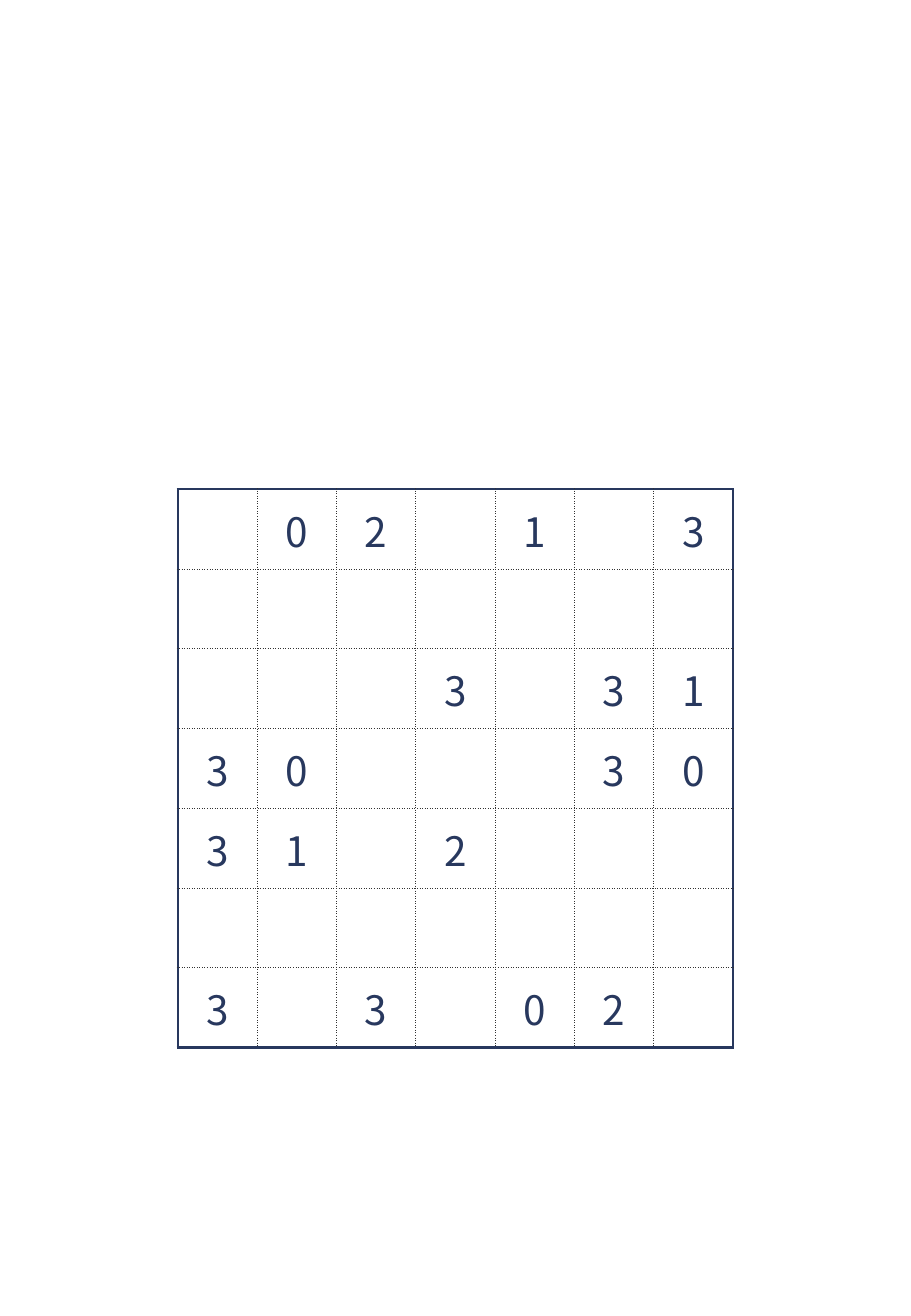
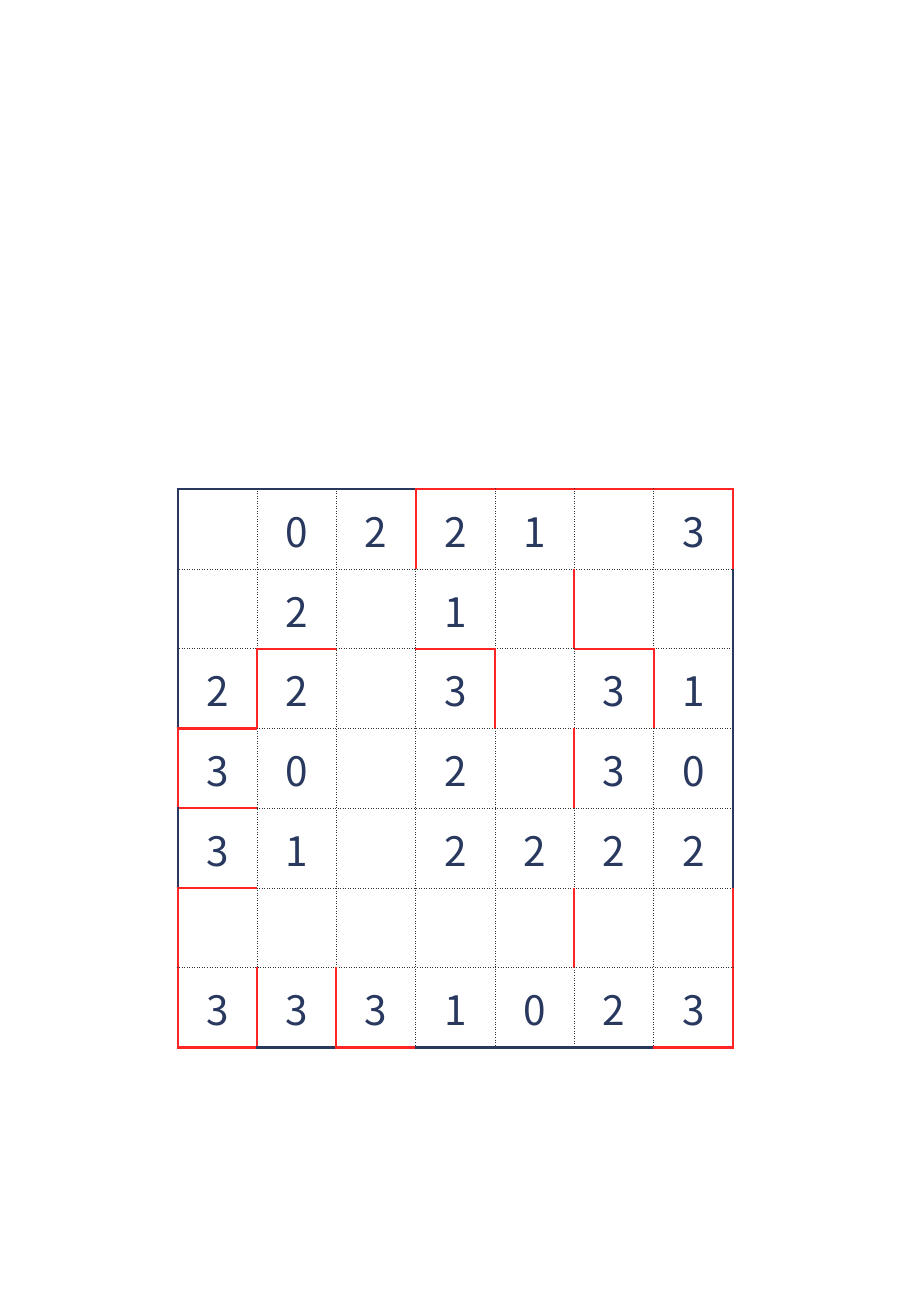
import pptx
import pptx.dml.color
import pptx.enum.text
import pptx.oxml.ns
import pptx.util
from lxml import etree
from pptx.util import Inches

COLORS = {"frame": "28385E", "digit": "28385E", "dots": "333333", "loop": "FF2525"}
FONT = "Noto Sans CJK JP"
NO_GRID_STYLE = "{2D5ABB26-0587-4C30-8999-92F81FD0307C}"
BOARD = (0.81, 3.37, 5.88, 5.91)
SIZE = 7  # squares per side; one ring of borderless cells surrounds them
NO_EDGES = {"across": ["." * SIZE] * (SIZE + 1), "down": ["." * (SIZE + 1)] * SIZE}

PUZZLE = [
    ".02.1.3",
    ".......",
    "...3.31",
    "30...30",
    "31.2...",
    ".......",
    "3.3.02.",
]
ANSWER = [
    ".021"[:3] + "21.3",
    ".2.1...",
    "22.3.31",
    "30.2.30",
    "31.2222",
    ".......",
    "3331023",
]
ANSWER_EDGES = {
    "across": [
        "...####",
        ".......",
        ".#.#.#.",
        "#......",
        "#......",
        "#......",
        ".......",
        "#.#...#",
    ],
    "down": [
        "...#...#",
        ".....#..",
        ".#..#.#.",
        "#....#..",
        "........",
        "#....#.#",
        "###....#",
    ],
}


def edge_kind(marks, line, lane):
    """Name the edge on grid line `line` beside square `lane`, or None outside."""
    if not (0 <= line <= SIZE and 0 <= lane < SIZE):
        return None
    if marks == "#":
        return "loop"
    return "frame" if line in (0, SIZE) else "dots"


def across_edge(edges, line, column):
    inside = 0 <= line <= SIZE and 0 <= column < SIZE
    return edge_kind(edges["across"][line][column] if inside else "", line, column)


def down_edge(edges, line, row):
    inside = 0 <= line <= SIZE and 0 <= row < SIZE
    return edge_kind(edges["down"][row][line] if inside else "", line, row)


def add_border(cell, side, kind):
    properties = cell._tc.get_or_add_tcPr()
    qn = pptx.oxml.ns.qn
    border = etree.SubElement(properties, qn("a:ln" + side))
    if kind is None:
        etree.SubElement(border, qn("a:noFill"))
        return
    border.set("w", str(pptx.util.Pt(0.5 if kind == "dots" else 1.5)))
    fill = etree.SubElement(border, qn("a:solidFill"))
    etree.SubElement(fill, qn("a:srgbClr"), val=COLORS[kind])
    dash = "dot" if kind == "dots" else "solid"
    etree.SubElement(border, qn("a:prstDash"), val=dash)


def write_digit(cell, digit):
    cell.vertical_anchor = pptx.enum.text.MSO_ANCHOR.MIDDLE
    cell.margin_left = cell.margin_right = cell.margin_top = Inches(0.01)
    cell.margin_bottom = 0
    para = cell.text_frame.paragraphs[0]
    para.alignment = pptx.enum.text.PP_ALIGN.CENTER
    span = para.add_run()
    span.text = digit
    span.font.size = pptx.util.Pt(24)
    span.font.name = FONT
    span.font.color.rgb = pptx.dml.color.RGBColor.from_string(COLORS["digit"])
    east_asian = etree.SubElement(span.font._element, pptx.oxml.ns.qn("a:ea"))
    east_asian.set("typeface", FONT)


def add_board(page, box, digits, edges):
    """Draw the grid of squares; edges marks with # the sides the loop follows."""
    count = SIZE + 2
    table = page.shapes.add_table(count, count, *map(Inches, box)).table
    table.first_row = table.horz_banding = False
    style = table._tbl.tblPr.find(pptx.oxml.ns.qn("a:tableStyleId"))
    style.text = NO_GRID_STYLE
    for row in range(-1, SIZE + 1):
        for column in range(-1, SIZE + 1):
            cell = table.cell(row + 1, column + 1)
            add_border(cell, "L", down_edge(edges, column, row))
            add_border(cell, "R", down_edge(edges, column + 1, row))
            add_border(cell, "T", across_edge(edges, row, column))
            add_border(cell, "B", across_edge(edges, row + 1, column))
            cell.fill.background()
            inside = 0 <= row < SIZE and 0 <= column < SIZE
            if inside and digits[row][column] != ".":
                write_digit(cell, digits[row][column])


def main():
    deck = pptx.Presentation()
    deck.slide_width, deck.slide_height = Inches(7.5), Inches(10.83)
    for digits, edges in ((PUZZLE, NO_EDGES), (ANSWER, ANSWER_EDGES)):
        page = deck.slides.add_slide(deck.slide_layouts[6])
        add_board(page, BOARD, digits, edges)
    deck.save("out.pptx")


if __name__ == "__main__":
    main()
